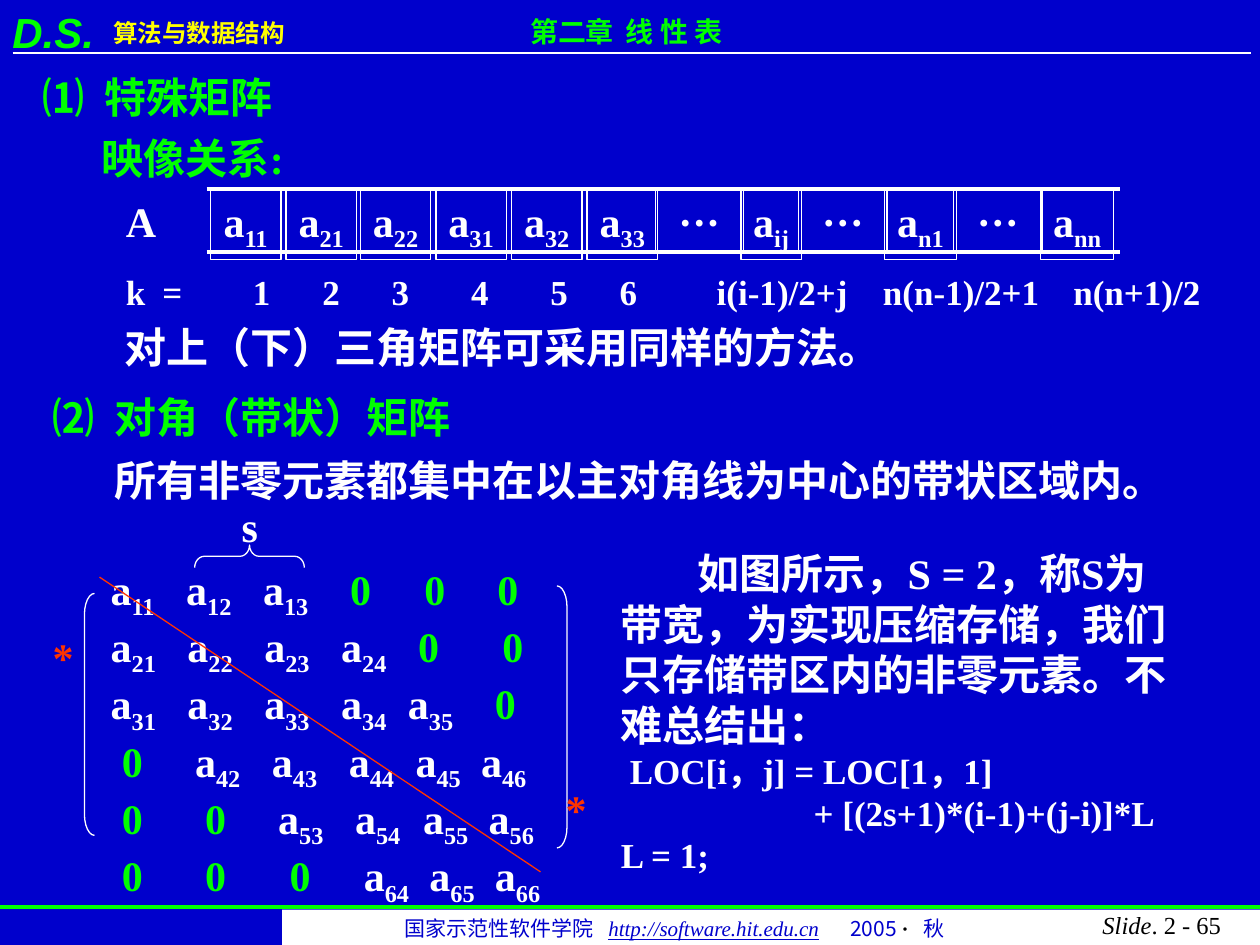
from dataclasses import dataclass

from lxml import etree
from pptx import Presentation
from pptx import util as u
from pptx.dml.color import RGBColor
from pptx.enum import shapes, text
from pptx.oxml.ns import qn


@dataclass(frozen=True)
class Theme:
    blue: str = "0000CC"
    white: str = "FFFFFF"
    green: str = "00FF00"
    yellow: str = "FFFF00"
    red: str = "FF3300"
    black: str = "000000"
    serif: str = "Times New Roman"
    sans: str = "Arial"
    chinese: str = "Noto Sans CJK SC"
    body: int = 24
    formula: int = 20
    chapter: int = 16
    course: int = 14
    footer: int = 12


THEME = Theme()

ARRAY_CELLS = [
    ("a11", 1.67, 0.56), ("a21", 2.27, 0.56), ("a22", 2.86, 0.56),
    ("a31", 3.46, 0.56), ("a32", 4.06, 0.56), ("a33", 4.66, 0.56),
    ("···", 5.2, 0.7), ("aij", 5.88, 0.48), ("···", 6.34, 0.7),
    ("an1", 7.02, 0.57), ("···", 7.57, 0.7), ("ann", 8.26, 0.58),
]
INDEX_LINE = "k\t=\t1\t2\t3\t4\t5\t6\ti(i-1)/2+j\tn(n-1)/2+1\tn(n+1)/2"
INDEX_STOPS = (0.29, 1.01, 1.56, 2.11, 2.74, 3.37, 3.92, 4.69, 6.01, 7.52)

# Each row: its entries and the tab stops that place them
MATRIX = [
    ("a11 a12 a13 0 0 0", (0.6, 1.21, 1.9, 2.49, 3.07)),
    ("a21 a22 a23 a24 0 0", (0.61, 1.22, 1.83, 2.44, 3.11)),
    ("a31 a32 a33 a34 a35 0", (0.61, 1.22, 1.83, 2.36, 3.05)),
    ("0 a42 a43 a44 a45 a46", (0.09, 0.67, 1.28, 1.89, 2.42, 2.94)),
    ("0 0 a53 a54 a55 a56", (0.09, 0.75, 1.33, 1.94, 2.48, 3.0)),
    ("0 0 0 a64 a65 a66", (0.09, 0.75, 1.42, 2.01, 2.53, 3.05)),
]

# Each line: text, first-line indent, type size
BANDWIDTH_NOTE = [
    ("如图所示，S = 2，称S为", 0.61, THEME.body),
    ("带宽，为实现压缩存储，我们", 0, THEME.body),
    ("只存储带区内的非零元素。不", 0, THEME.body),
    ("难总结出：", 0, THEME.body),
    ("LOC[i，j] = LOC[1，1]", 0.07, THEME.formula),
    ("+ [(2s+1)*(i-1)+(j-i)]*L", 1.53, THEME.formula),
    ("L = 1;", 0, THEME.formula),
]


def rgb(color):
    return RGBColor.from_string(color)


def format_span(span, color=THEME.white, size=THEME.body, name=THEME.serif,
                bold=True, italic=False, underline=False):
    font = span.font
    font.size, font.name = u.Pt(size), name
    font.bold, font.italic, font.underline = bold, italic, underline
    font.color.rgb = rgb(color)
    east_asian = etree.SubElement(span._r.get_or_add_rPr(), qn("a:ea"))
    east_asian.set("typeface", THEME.chinese)


def add_span(para, words, **style):
    span = para.add_run()
    span.text = words
    format_span(span, **style)
    return span


def add_entry(para, entry, lead=""):
    """Write a zero, an ellipsis, or a letter with its subscript."""
    if entry == "0":
        add_span(para, lead + entry, color=THEME.green)
    elif entry.startswith("a"):
        add_span(para, lead + "a")
        subscript = add_span(para, entry[1:])
        subscript._r.get_or_add_rPr().set("baseline", "-25000")
    else:
        add_span(para, entry)


def set_tabs(para, stops):
    tabs = etree.SubElement(para._p.get_or_add_pPr(), qn("a:tabLst"))
    for stop in stops:
        etree.SubElement(tabs, qn("a:tab"), pos=str(u.Inches(stop)), algn="l")


def add_box(page, left, top, width, height):
    box = page.shapes.add_textbox(*map(u.Inches, (left, top, width, height)))
    box.text_frame.word_wrap = True
    return box.text_frame


def add_label(page, words, left, top, width, height=0.5, stops=(), **style):
    para = add_box(page, left, top, width, height).paragraphs[0]
    if stops:
        set_tabs(para, stops)
    add_span(para, words, **style)
    return para


def add_shape(page, kind, left, top, width, height, fill=None, line=None):
    shape = page.shapes.add_shape(kind, *map(u.Inches, (left, top, width, height)))
    shape.shadow.inherit = False
    if fill:
        shape.fill.solid()
        shape.fill.fore_color.rgb = rgb(fill)
    else:
        shape.fill.background()
    if line:
        shape.line.color.rgb = rgb(line)
        shape.line.width = u.Pt(0.75)
    else:
        shape.line.fill.background()
    return shape


def add_line(page, start, end, color=THEME.white, weight=0.75):
    line = page.shapes.add_connector(
        shapes.MSO_CONNECTOR.STRAIGHT, *map(u.Inches, (*start, *end)))
    line.line.color.rgb = rgb(color)
    line.line.width = u.Pt(weight)
    etree.SubElement(line._element.spPr, qn("a:effectLst"))


def add_header(page):
    add_label(page, "算法与数据结构", 0.8, 0.09, 1.87, 0.34, color=THEME.yellow,
              size=THEME.course, name=THEME.chinese)
    add_line(page, (0.1, 0.42), (9.93, 0.42))
    add_label(page, "D.S.", 0, 0, 1, color=THEME.green, name=THEME.sans, italic=True)
    add_label(page, "第二章\t线 性 表", 4.11, 0.07, 1.97, 0.37, stops=(0.76,),
              color=THEME.green, size=THEME.chapter)


def add_footer(page):
    add_line(page, (0, 7.2), (10, 7.2), THEME.green, 2)
    add_shape(page, shapes.MSO_SHAPE.RECTANGLE, 2.24, 7.22, 7.76, 0.28, fill=THEME.white)
    plain = dict(color=THEME.blue, size=THEME.footer, bold=False)
    para = add_label(page, "国家示范性软件学院", 3.11, 7.22, 4.72, 0.3,
                     stops=(1.62, 3.54, 4.12), name=THEME.chinese, **plain)
    add_span(para, "\t", **plain)
    add_span(para, "http://software.hit.edu.cn", italic=True, underline=True, **plain)
    add_span(para, "\t2005 ", name=THEME.chinese, **plain)
    add_span(para, "·", color=THEME.black, size=THEME.footer)
    add_span(para, "\t秋", name=THEME.chinese, **plain)

    number = dict(color=THEME.black, size=THEME.course, bold=False)
    para = add_label(page, "Slide", 8.31, 7.17, 1.48, 0.34, italic=True, **number)
    para.alignment = text.PP_ALIGN.RIGHT
    add_span(para, ". 2 - 65", **number)


def add_array(page):
    add_label(page, "A", 0.9, 1.5, 0.6)
    for entry, left, width in ARRAY_CELLS:
        height = 0.56 if entry.startswith("a") else 0.5
        cell = add_shape(page, shapes.MSO_SHAPE.RECTANGLE, left, 1.5, width, height,
                         line=THEME.white)
        frame = cell.text_frame
        frame.word_wrap = False
        frame.vertical_anchor = text.MSO_ANCHOR.TOP
        frame.paragraphs[0].alignment = text.PP_ALIGN.CENTER
        add_entry(frame.paragraphs[0], entry)
    for top in (1.5, 2):
        add_line(page, (1.64, top), (8.89, top), weight=2.25)
    add_label(page, INDEX_LINE, 0.9, 2.1, 8.9, 0.44, stops=INDEX_STOPS, size=THEME.formula)


def add_band_matrix(page):
    frame = add_box(page, 0.78, 4.42, 3.8, 2.83)
    for row, (entries, stops) in enumerate(MATRIX):
        para = frame.add_paragraph() if row else frame.paragraphs[0]
        set_tabs(para, stops)
        for column, entry in enumerate(entries.split()):
            indented = column > 0 or entry == "0"
            add_entry(para, entry, "\t" if indented else "")
    add_line(page, (0.79, 4.58), (4.29, 6.92), THEME.red)

    kinds = shapes.MSO_SHAPE
    brace = add_shape(page, kinds.LEFT_BRACE, 1.89, 3.98, 0.18, 0.87, line=THEME.white)
    brace.rotation = 90
    brace.adjustments[0] = 0.42
    for kind, left, top, height in ((kinds.LEFT_BRACKET, 0.67, 4.71, 1.92),
                                    (kinds.RIGHT_BRACKET, 4.42, 4.65, 2.08)):
        bracket = add_shape(page, kind, left, top, 0.08, height, line=THEME.white)
        bracket.adjustments[0] = 2.1
    add_label(page, "s", 1.82, 3.92, 0.4)
    for left, top in ((0.32, 4.96), (4.39, 6.17)):
        add_label(page, "*", left, top, 0.4, color=THEME.red)


def add_bandwidth_note(page):
    frame = add_box(page, 4.83, 4.3, 4.9, 2.7)
    for row, (words, indent, size) in enumerate(BANDWIDTH_NOTE):
        para = frame.add_paragraph() if row else frame.paragraphs[0]
        para._p.get_or_add_pPr().set("indent", str(u.Inches(indent)))
        add_span(para, words, size=size)


def main():
    deck = Presentation()
    deck.slide_width, deck.slide_height = u.Inches(10), u.Inches(7.5)
    page = deck.slides.add_slide(deck.slide_layouts[6])
    page.background.fill.solid()
    page.background.fill.fore_color.rgb = rgb(THEME.blue)

    add_header(page)
    add_footer(page)
    add_label(page, "映像关系:", 0.71, 1, 2, color=THEME.green)
    heading = add_label(page, "⑴\t特殊矩阵", 0.24, 0.44, 2.3, 0.58, stops=(0.49,),
                        color=THEME.green)
    heading.line_spacing = 1.2
    add_array(page)
    add_label(page, "对上（下）三角矩阵可采用同样的方法。", 0.89, 2.5, 6.5)
    add_label(page, "⑵\t对角（带状）矩阵", 0.32, 3.06, 3.7, stops=(0.49,),
              color=THEME.green)
    add_label(page, "所有非零元素都集中在以主对角线为中心的带状区域内。", 0.81, 3.56, 8.9)
    add_bandwidth_note(page)
    add_band_matrix(page)
    deck.save("out.pptx")


if __name__ == "__main__":
    main()
